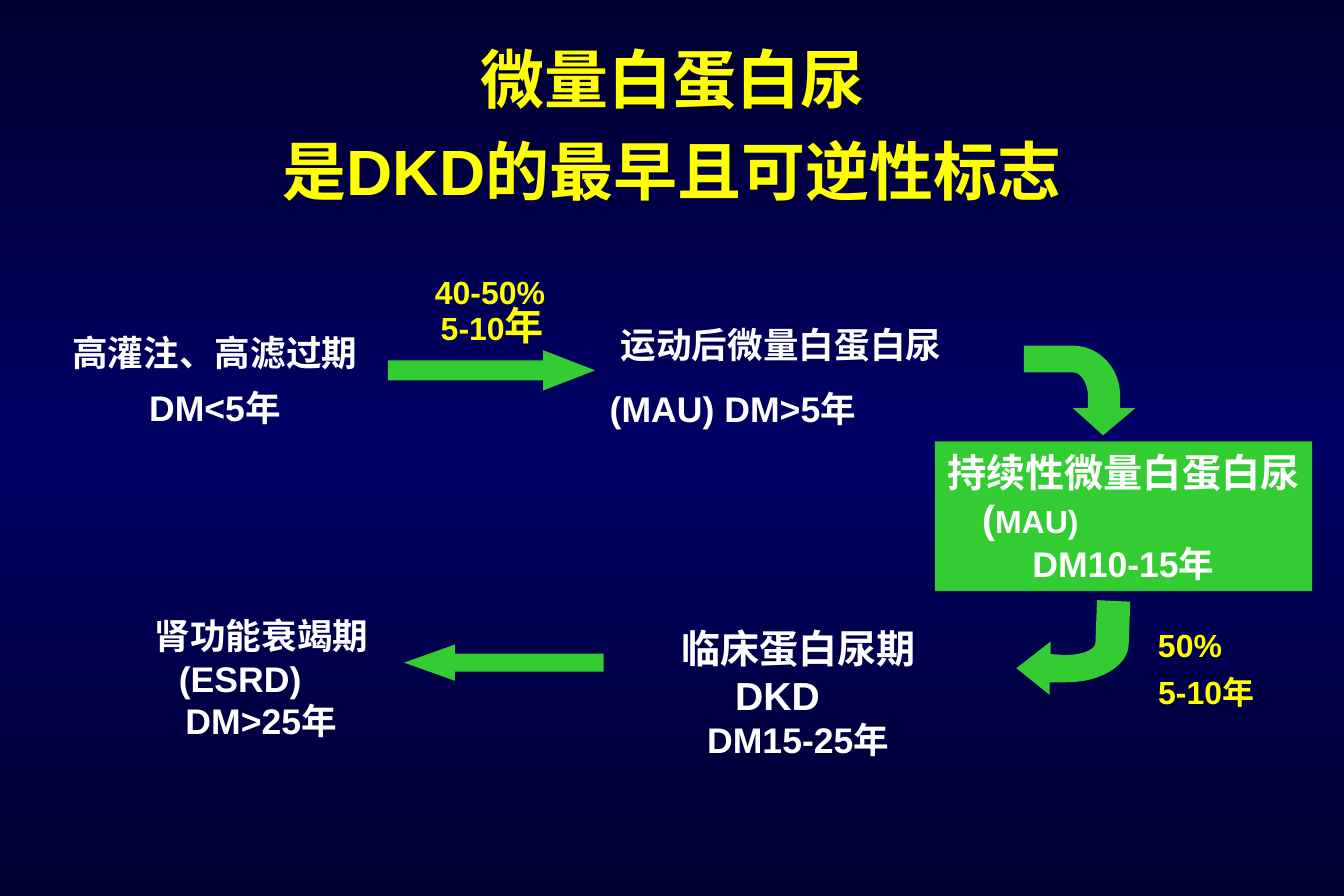
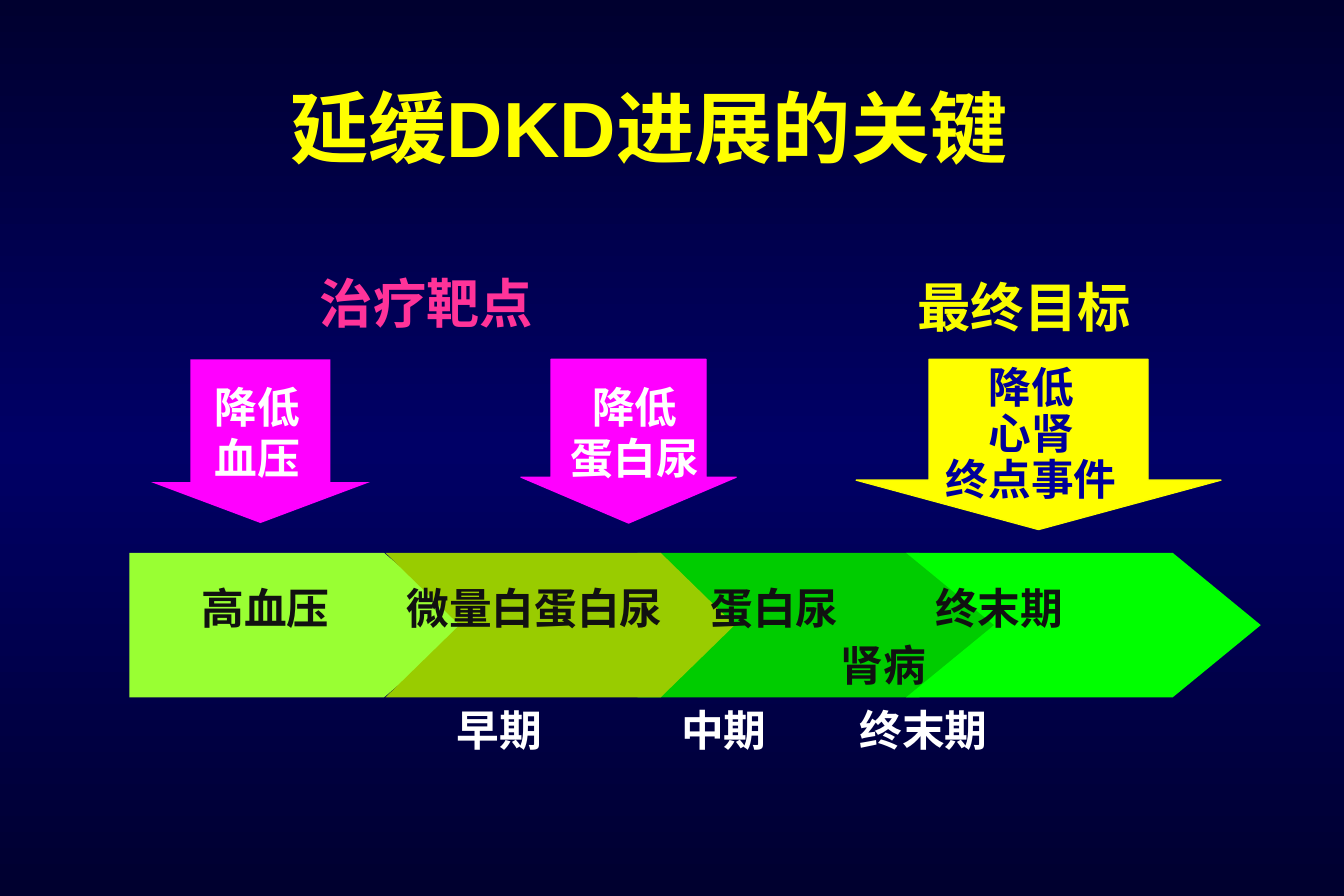
from dataclasses import dataclass
from typing import NamedTuple

from lxml.etree import SubElement
from pptx import Presentation
from pptx.dml.color import RGBColor
from pptx.enum.shapes import MSO_SHAPE as Preset
from pptx.enum.text import MSO_ANCHOR as Anchor, MSO_AUTO_SIZE as AutoSize, PP_ALIGN as Align
from pptx.oxml.ns import qn
from pptx.util import Cm, Pt

WHITE, YELLOW, LEMON, GREEN = "FFFFFF", "FFFF00", "FAFD00", "33CC33"
MAGENTA, PINK, NAVY, BLACK = "FF00FF", "FF3399", "000099", "111111"
BACKGROUND_STOPS = ((0, "00002F"), (50, "000066"), (100, "00002F"))
LATIN_FONT, CHINESE_FONT, BAND_FONT = "Arial", "Noto Sans CJK SC", "Roboto"
BAND_TOP, BAND_HEIGHT = 10.97, 2.87


class Box(NamedTuple):
    left: float
    top: float
    width: float
    height: float


class Run(NamedTuple):
    text: str
    size: float


@dataclass(frozen=True)
class Line:
    runs: tuple[Run, ...]
    indent: float | None = None


@dataclass(frozen=True)
class Label:
    box: Box
    lines: tuple[Line, ...]
    color: str = WHITE
    spacing: float = 1.2
    font: str = LATIN_FONT


@dataclass(frozen=True)
class BlockArrow:
    preset: Preset
    box: Box
    adjustments: tuple[float, ...]
    fill: str
    outline: str | None = None


class Curve(NamedTuple):
    first_control: tuple[float, float]
    second_control: tuple[float, float]
    end: tuple[float, float]


def line(text: str, size: float, indent: float | None = None) -> Line:
    return Line((Run(text, size),), indent)


def row_labels(entries, top: float, color: str, font: str) -> list[Label]:
    return [Label(Box(left, top, len(text) * 0.85 + 0.8, 1.2), (line(text, 24, 0),), color, font=font)
            for text, left in entries]


def rgb(color: str) -> RGBColor:
    return RGBColor.from_string(color)


def set_box(shape, box: Box) -> None:
    shape.left, shape.top, shape.width, shape.height = map(Cm, box)


def write_text(shape, label: Label) -> None:
    frame = shape.text_frame
    frame.word_wrap = True
    frame.auto_size = AutoSize.NONE
    frame.vertical_anchor = Anchor.TOP
    frame.margin_left = frame.margin_right = Cm(0.25)
    frame.margin_top = frame.margin_bottom = Cm(0.13)
    for index, content in enumerate(label.lines):
        paragraph = frame.paragraphs[0] if index == 0 else frame.add_paragraph()
        paragraph.space_before = paragraph.space_after = Pt(0)
        paragraph.line_spacing = Pt(label.spacing * max(run.size for run in content.runs))
        paragraph.alignment = Align.CENTER if content.indent is None else Align.LEFT
        if content.indent:
            properties = paragraph._p.get_or_add_pPr()
            properties.set("marL", str(Cm(content.indent)))
            properties.set("indent", "0")
        for part in content.runs:
            run = paragraph.add_run()
            run.text = part.text
            run.font.size = Pt(part.size)
            run.font.bold = True
            run.font.color.rgb = rgb(label.color)
            run.font.name = label.font
            SubElement(run._r.get_or_add_rPr(), qn("a:ea")).set("typeface", CHINESE_FONT)


def add_label(slide, label: Label) -> None:
    write_text(slide.shapes.add_textbox(*map(Cm, label.box)), label)


def paint(shape, fill: str, outline: str | None = None) -> None:
    shape.shadow.inherit = False
    shape.fill.solid()
    shape.fill.fore_color.rgb = rgb(fill)
    if outline:
        shape.line.color.rgb = rgb(outline)
        shape.line.width = Pt(0.75)
    else:
        shape.line.fill.background()


def add_block(slide, block: BlockArrow):
    shape = slide.shapes.add_shape(block.preset, *map(Cm, block.box))
    for index, value in enumerate(block.adjustments):
        shape.adjustments[index] = value
    paint(shape, block.fill, block.outline)
    return shape


def add_bent_arrow(slide, outline) -> None:
    points = [outline[0]]
    for step in outline[1:]:
        if not isinstance(step, Curve):
            points.append(step)
            continue
        start = points[-1]
        for t in (index / 12 for index in range(1, 13)):
            weights = ((1 - t) ** 3, 3 * t * (1 - t) ** 2, 3 * t * t * (1 - t), t ** 3)
            points.append(tuple(sum(weight * point[axis] for weight, point in zip(weights, (start, *step)))
                                for axis in (0, 1)))
    corners = [(Cm(x), Cm(y)) for x, y in points]
    builder = slide.shapes.build_freeform(*corners[0])
    builder.add_line_segments(corners[1:], close=True)
    paint(builder.convert_to_shape(), GREEN)


def set_background(master) -> None:
    fill = master.background.fill
    fill.gradient()
    fill.gradient_angle = 90
    stops = next(master._element.iter(qn("a:gsLst")))
    for stop in list(stops):
        stops.remove(stop)
    for position, color in BACKGROUND_STOPS:
        stop = SubElement(stops, qn("a:gs"), pos=str(position * 1000))
        SubElement(stop, qn("a:srgbClr"), val=color)


def add_titled_slide(presentation, title: Label):
    slide = presentation.slides.add_slide(presentation.slide_layouts[5])
    set_box(slide.shapes.title, title.box)
    write_text(slide.shapes.title, title)
    return slide


def build_progression(presentation) -> None:
    slide = add_titled_slide(presentation, Label(
        Box(0, 0.34, 26.67, 3.9), (line("微量白蛋白尿", 36), line("是DKD的最早且可逆性标志", 36)), YELLOW, 1.44))
    for arrow in (
        BlockArrow(Preset.RIGHT_ARROW, Box(7.7, 6.95, 4.11, 0.8), (0.5, 1.29), GREEN),
        BlockArrow(Preset.LEFT_ARROW, Box(8.02, 12.79, 3.96, 0.72), (0.5, 1.4), GREEN),
    ):
        add_block(slide, arrow)
    add_bent_arrow(slide, (
        (21.89, 8.64), (22.53, 8.1), (22.23, 8.1), (22.23, 7.9),
        Curve((22.25, 7.32), (21.82, 6.86), (21.29, 6.86)),
        (20.32, 6.86), (20.32, 7.39), (21.29, 7.39),
        Curve((21.46, 7.39), (21.59, 7.62), (21.59, 7.87)), (21.59, 8.1), (21.29, 8.1)))
    add_bent_arrow(slide, (
        (20.17, 13.26), (20.83, 13.79), (20.83, 13.54), (21.11, 13.54),
        Curve((21.82, 13.56), (22.4, 13.21), (22.4, 12.78)),
        (22.43, 11.94), (21.77, 11.91), (21.74, 12.75),
        Curve((21.74, 12.9), (21.46, 13), (21.13, 13)), (20.85, 12.98), (20.85, 12.73)))
    persistent = Label(Box(18.55, 8.76, 7.49, 2.97), (
        line("持续性微量白蛋白尿", 22),
        Line((Run("(", 22), Run("MAU)", 18)), 0.69),
        line("DM10-15年", 20)))
    write_text(add_block(slide, BlockArrow(Preset.RECTANGLE, persistent.box, (), GREEN)), persistent)
    for label in (
        Label(Box(1, 6.18, 6.53, 2.46), (line("高灌注、高滤过期", 20), line("DM<5年", 20)), spacing=1.56),
        Label(Box(11.81, 5.85, 7.54, 2.79),
              (line("运动后微量白蛋白尿", 20, 0.26), line("(MAU) DM>5年", 20, 0.04)), spacing=1.8),
        Label(Box(11.46, 12.26, 8.76, 2.97),
              (line("临床蛋白尿期", 22), line("DKD", 22, 2.88), line("DM15-25年", 20))),
        Label(Box(2.7, 12.05, 5.13, 2.79),
              (line("肾功能衰竭期", 20, 0.12), line("(ESRD)", 20, 0.6), line("DM>25年", 20, 0.73))),
        Label(Box(8.38, 5.28, 3.61, 1.02), (line("40-50%", 18, 0),), YELLOW),
        Label(Box(7.7, 5.86, 4.14, 1.19), (Line((Run("5-10", 18), Run("年", 22))),), YELLOW),
        Label(Box(22.73, 12.28, 2.13, 1.02), (line("50%", 18, 0),), YELLOW),
        Label(Box(22.12, 13.21, 3.63, 1.02), (line("5-10年", 18),), YELLOW),
    ):
        add_label(slide, label)


def build_targets(presentation) -> None:
    slide = add_titled_slide(presentation, Label(
        Box(1.07, 1.36, 23.62, 2.2), (line("延缓DKD进展的关键", 44),), YELLOW, 1.25))
    for preset, left, width, tip, fill in (
        (Preset.PENTAGON, 2.57, 6.73, 1.68, "99FF33"),
        (Preset.CHEVRON, 12.65, 7.44, 1.85, "00CC00"),
        (Preset.CHEVRON, 17.98, 7.04, 1.75, "00FF00"),
        (Preset.CHEVRON, 7.65, 6.93, 1.47, "99CC00"),
    ):
        add_block(slide, BlockArrow(preset, Box(left, BAND_TOP, width, BAND_HEIGHT), (tip / BAND_HEIGHT,), fill))
    for left, width, height, adjustments, fill, outline in (
        (3, 4.34, 3.25, (0.64, 0.25), MAGENTA, None),
        (10.34, 4.27, 3.25, (0.72, 0.28), MAGENTA, MAGENTA),
        (16.99, 7.24, 3.38, (0.6, 0.29), YELLOW, LEMON),
    ):
        add_block(slide, BlockArrow(Preset.DOWN_ARROW, Box(left, 7.13, width, height), adjustments, fill, outline))
    for label in (
        Label(Box(6.1, 5.23, 5.5, 1.5), (line("治疗靶点", 30, 0),), PINK),
        Label(Box(17.96, 5.31, 5.5, 1.5), (line("最终目标", 30, 0),), LEMON),
        Label(Box(4.01, 7.43, 2.4, 2.29), (line("降低", 24, 0), line("血压", 24, 0))),
        Label(Box(10.9, 7.43, 3.4, 2.29), (line("降低", 24), line("蛋白尿", 24))),
        Label(Box(18.32, 7.14, 4.28, 3), (line("降低", 24), line("心肾", 24), line("终点事件", 24)), NAVY, 1.08),
        *row_labels((("高血压", 3.75), ("微量白蛋白尿", 7.82), ("蛋白尿", 13.85), ("终末期", 18.31)),
                    11.41, BLACK, BAND_FONT),
        *row_labels((("肾病", 16.43),), 12.54, BLACK, BAND_FONT),
        *row_labels((("早期", 8.81), ("中期", 13.27), ("终末期", 16.81)), 13.83, WHITE, CHINESE_FONT),
    ):
        add_label(slide, label)


def main() -> None:
    presentation = Presentation()
    presentation.slide_width, presentation.slide_height = Cm(26.67), Cm(17.78)
    set_background(presentation.slide_master)
    build_progression(presentation)
    build_targets(presentation)
    presentation.save("out.pptx")


if __name__ == "__main__":
    main()
